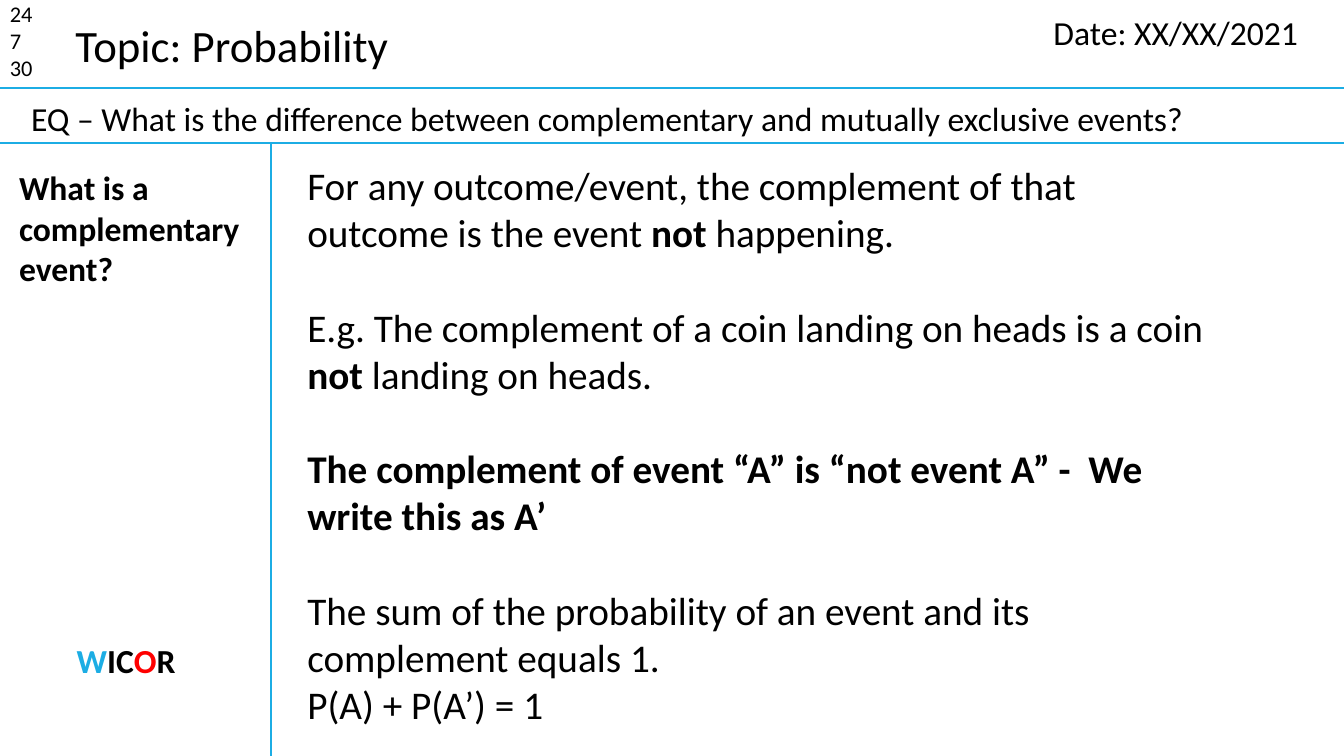
from dataclasses import dataclass

from lxml import etree
from pptx import Presentation
from pptx.dml.color import RGBColor
from pptx.enum.shapes import MSO_CONNECTOR
from pptx.enum.text import PP_ALIGN
from pptx.oxml.ns import qn
from pptx.util import Emu, Pt

STRAIGHT = MSO_CONNECTOR.STRAIGHT
LEFT, CENTER = PP_ALIGN.LEFT, PP_ALIGN.CENTER
EMU_PER_PX = 9144  # 100 px to the inch
SLIDE_WIDTH, SLIDE_HEIGHT = 1333, 750


@dataclass(frozen=True)
class Theme:
    font: str = "Calibri"
    ink: RGBColor = RGBColor(0x00, 0x00, 0x00)
    accent: RGBColor = RGBColor(0x1C, 0xAD, 0xE4)
    alert: RGBColor = RGBColor(0xFF, 0x00, 0x00)
    tally: int = 16
    label: int = 24
    body: int = 28
    title: int = 32
    rule: float = 1.5
    body_gap: int = 34


THEME = Theme()


@dataclass(frozen=True)
class Span:
    text: str
    bold: bool = False
    color: RGBColor = THEME.ink


@dataclass(frozen=True)
class Para:
    spans: tuple[Span, ...]
    gap: int = 0


@dataclass(frozen=True)
class Note:
    left: int
    top: int
    width: int
    height: int
    size: int
    paras: tuple[Para, ...]
    align: PP_ALIGN = LEFT
    wrap: bool = True


@dataclass(frozen=True)
class Rule:
    x1: int
    y1: int
    x2: int
    y2: int


def px(length: int) -> Emu:
    return Emu(length * EMU_PER_PX)


def plain(text: str, bold: bool = False, gap: int = 0) -> Para:
    return Para((Span(text, bold),), gap)


HEADER_Y, QUESTION_Y, MARGIN_X = 87, 142, 269
RULES = (
    Rule(0, HEADER_Y, SLIDE_WIDTH, HEADER_Y),
    Rule(0, QUESTION_Y, SLIDE_WIDTH, QUESTION_Y),
    Rule(MARGIN_X, QUESTION_Y, MARGIN_X, SLIDE_HEIGHT),
)

EXPLANATION = (
    Para((
        Span("For any outcome/event, the complement of that outcome is the event "),
        Span("not ", bold=True),
        Span("happening."),
    )),
    Para((
        Span("E.g. The complement of a coin landing on heads is a coin "),
        Span("not", bold=True),
        Span(" landing on heads."),
    ), THEME.body_gap),
    plain("The complement of event “A” is “not event A” -  We write this as A’",
          bold=True, gap=THEME.body_gap),
    plain("The sum of the probability of an event and its complement equals 1.",
          gap=THEME.body_gap),
    plain("P(A) + P(A’) = 1"),
)
WICOR = Para((
    Span("W", True, THEME.accent),
    Span("IC", True),
    Span("O", True, THEME.alert),
    Span("R", True),
))
NOTES = (
    Note(0, -5, 63, 91, THEME.tally, tuple(plain(n) for n in ("24", "7", "30"))),
    Note(65, 13, 334, 64, THEME.title, (plain("Topic: Probability"),), wrap=False),
    Note(1035, 7, 264, 50, THEME.label, (plain("Date: XX/XX/2021"),)),
    Note(21, 92, 1278, 50, THEME.label, (plain(
        "EQ – What is the difference between complementary and mutually exclusive events?"),)),
    Note(9, 161, 259, 131, THEME.label,
         (plain("What is a complementary event?", bold=True),)),
    Note(14, 630, 222, 50, THEME.label, (WICOR,), align=CENTER),
    Note(295, 155, 924, 576, THEME.body, EXPLANATION),
)


def draw_rule(slide, rule: Rule) -> None:
    line = slide.shapes.add_connector(
        STRAIGHT, px(rule.x1), px(rule.y1), px(rule.x2), px(rule.y2))
    line.line.color.rgb = THEME.accent
    line.line.width = Pt(THEME.rule)
    etree.SubElement(line._element.spPr, qn("a:effectLst"))


def fill_paragraph(paragraph, para: Para, note: Note) -> None:
    """Set what all runs share on the paragraph, and the rest on each run."""
    paragraph.alignment = note.align
    if para.gap:
        paragraph.space_before = Pt(para.gap)
    paragraph.font.name = THEME.font
    paragraph.font.size = Pt(note.size)
    same_bold = len({span.bold for span in para.spans}) == 1
    same_color = len({span.color for span in para.spans}) == 1
    if same_bold:
        paragraph.font.bold = para.spans[0].bold
    if same_color:
        paragraph.font.color.rgb = para.spans[0].color
    for span in para.spans:
        run = paragraph.add_run()
        run.text = span.text
        if not same_bold:
            run.font.bold = span.bold
        if not same_color:
            run.font.color.rgb = span.color


def draw_note(slide, note: Note) -> None:
    frame = slide.shapes.add_textbox(
        px(note.left), px(note.top), px(note.width), px(note.height)).text_frame
    frame.word_wrap = note.wrap
    for index, para in enumerate(note.paras):
        paragraph = frame.add_paragraph() if index else frame.paragraphs[0]
        fill_paragraph(paragraph, para, note)


def main() -> None:
    deck = Presentation()
    deck.slide_width, deck.slide_height = px(SLIDE_WIDTH), px(SLIDE_HEIGHT)
    slide = deck.slides.add_slide(deck.slide_layouts[6])
    for rule in RULES:
        draw_rule(slide, rule)
    for note in NOTES:
        draw_note(slide, note)
    deck.save("out.pptx")


if __name__ == "__main__":
    main()
